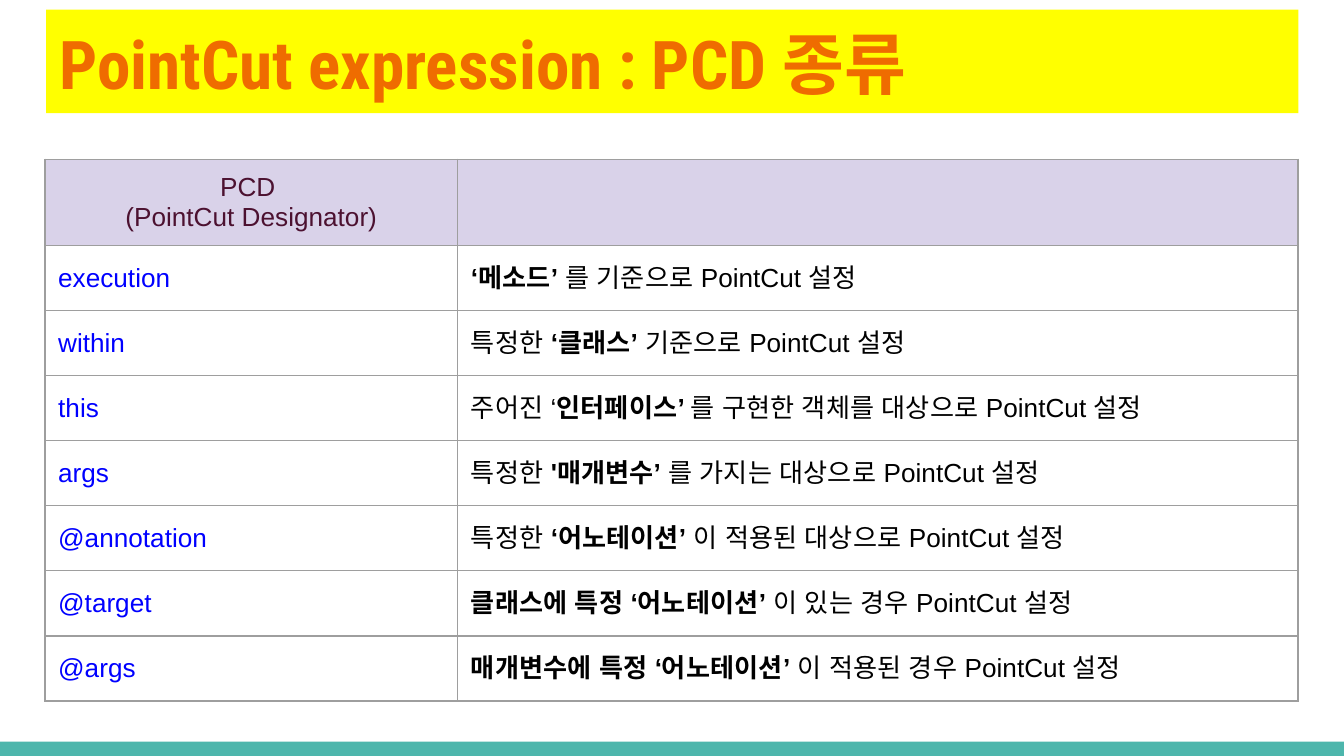
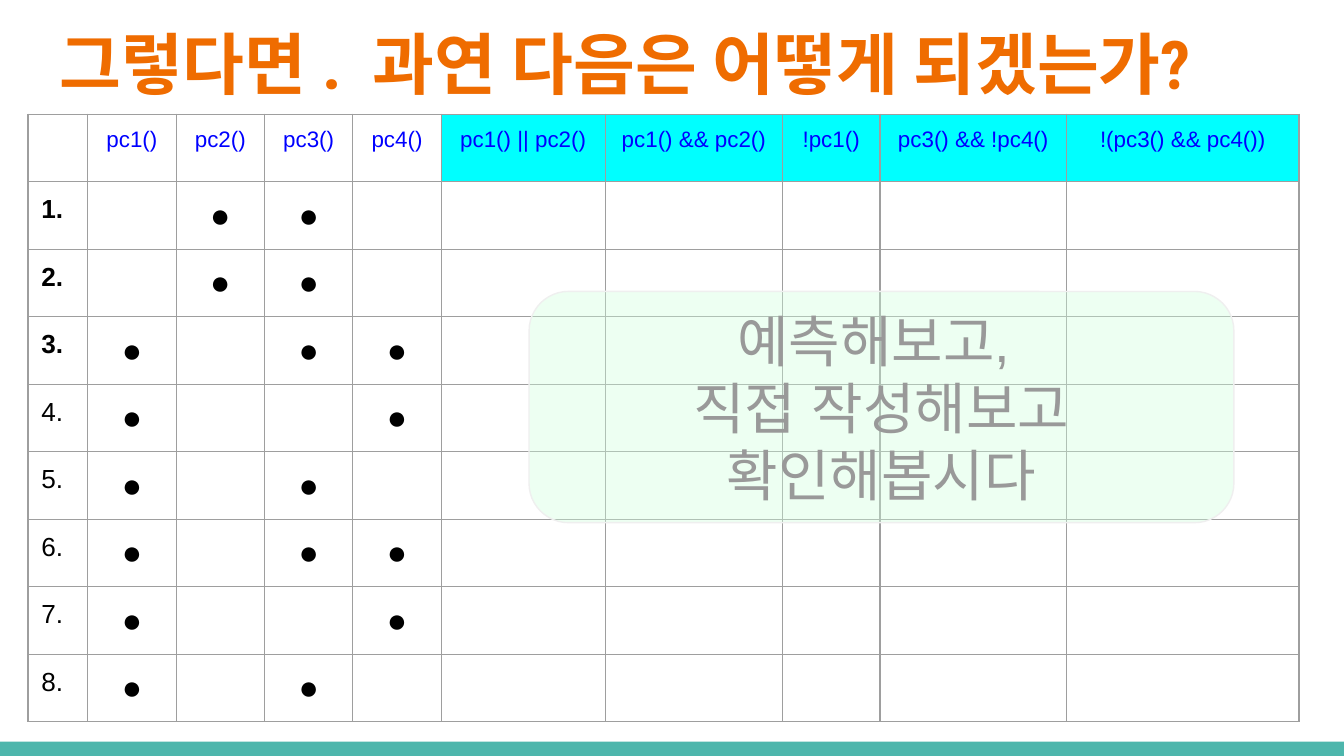
from copy import deepcopy

from lxml.etree import SubElement
from pptx import Presentation
from pptx.dml.color import RGBColor
from pptx.enum.shapes import MSO_SHAPE
from pptx.enum.text import MSO_ANCHOR, MSO_AUTO_SIZE, PP_ALIGN
from pptx.oxml.ns import qn
from pptx.util import Cm, Pt

LEFT, MID = PP_ALIGN.LEFT, PP_ALIGN.CENTER
TOP, HALF = MSO_ANCHOR.TOP, MSO_ANCHOR.MIDDLE
RECT, ROUND = MSO_SHAPE.RECTANGLE, MSO_SHAPE.ROUNDED_RECTANGLE
FIT_OFF = MSO_AUTO_SIZE.NONE

TEAL = RGBColor(0x4D, 0xB6, 0xAC)
ORANGE = RGBColor(0xEF, 0x6C, 0x00)
YELLOW = RGBColor(0xFF, 0xFF, 0x00)
LILAC = RGBColor(0xD9, 0xD2, 0xE9)
PLUM = RGBColor(0x4C, 0x11, 0x30)
BLUE = RGBColor(0x00, 0x00, 0xFF)
BLACK = RGBColor(0x00, 0x00, 0x00)
CYAN = RGBColor(0x00, 0xFF, 0xFF)
MINT = RGBColor(0xCF, 0xFF, 0xDD)
GREY = RGBColor(0x99, 0x99, 0x99)
PALE = RGBColor(0xEF, 0xEF, 0xEF)
GRID = "9E9E9E"
BODY, HEAD = "Arial", "Roboto Condensed"
PAD = Cm(0.25)

PCD_TITLE = "PointCut expression : PCD 종류"
PCD_HEAD = "PCD \v(PointCut Designator)"
PCD_ROWS = [
    ("execution", "*‘메소드’* 를 기준으로 PointCut 설정"),
    ("within", "특정한 *‘클래스’* 기준으로 PointCut 설정"),
    ("this", "주어진 ‘*인터페이스’ *를 구현한 객체를 대상으로 PointCut 설정"),
    ("args", "특정한 *'매개변수’* 를 가지는 대상으로 PointCut 설정"),
    ("@annotation", "특정한 *‘어노테이션’* 이 적용된 대상으로 PointCut 설정"),
    ("@target", "*클래스에 특정 ‘어노테이션’* 이 있는 경우 PointCut 설정"),
    ("@args", "*매개변수에 특정 ‘어노테이션’* 이 적용된 경우 PointCut 설정"),
]
PCD_COLS = [7.8, 15.88]
PCD_HIGH = [1.63] + [1.23] * len(PCD_ROWS)

QUIZ_TITLE = "그렇다면 .  과연 다음은 어떻게 되겠는가?"
CUTS = ["pc1()", "pc2()", "pc3()", "pc4()"]
TESTS = ["pc1() || pc2()", "pc1() && pc2()", "!pc1()",
         "pc3() && !pc4()", "!(pc3() && pc4())"]
DOTS = [(2, 3), (2, 3), (1, 3, 4), (1, 4), (1, 3), (1, 3, 4), (1, 4), (1, 3)]
BOLD_ROWS = 3
QUIZ_COLS = [1.13] + [1.67] * len(CUTS) + [3.1, 3.35, 1.84, 3.53, 4.39]
QUIZ_HIGH = [1.22] * (len(DOTS) + 1)
NOTE = "예측해보고, \v직접 작성해보고 확인해봅시다"


def write(frame, text, size, color, align=LEFT, face=BODY):
    para = frame.paragraphs[0]
    parts = text.split("*")
    para.text = parts[0]
    for i, part in enumerate(parts[1:], 1):
        if part:
            run = para.add_run()
            run.text = part
            run.font.bold = i % 2 == 1
    para.alignment = align
    for run in para.runs:
        run.font.name = face
        run.font.size = Pt(size)
        run.font.color.rgb = color
        props = run._r.get_or_add_rPr()
        SubElement(props, qn("a:ea"), typeface=face)
        for gap in para._p.findall(qn("a:br")):
            if gap.find(qn("a:rPr")) is None:
                gap.append(deepcopy(props))


def pad(box):
    box.margin_left = box.margin_right = PAD
    box.margin_top = box.margin_bottom = PAD


def paint(shape, color):
    shape.shadow.inherit = False
    shape.fill.solid()
    shape.fill.fore_color.rgb = color


def add_page(deck, text):
    page = deck.slides.add_slide(deck.slide_layouts[5])
    title = page.shapes.title
    title.left, title.top = Cm(0.87), Cm(0.18)
    title.width, title.height = Cm(23.67), Cm(1.96)
    frame = title.text_frame
    frame.word_wrap = True
    frame.auto_size = FIT_OFF
    frame.vertical_anchor = TOP
    pad(frame)
    write(frame, f"*{text}*", 36, ORANGE, face=HEAD)
    return page


def add_band(deck, page):
    band = page.shapes.add_shape(RECT, 0, Cm(14.02), deck.slide_width, Cm(0.27))
    paint(band, TEAL)
    band.line.fill.background()
    deck.slide_master.shapes._spTree.append(band._element)


def add_grid(page, left, top, cols, rows):
    table = page.shapes.add_table(
        len(rows), len(cols), Cm(left), Cm(top), Cm(sum(cols)), Cm(sum(rows))).table
    table.first_row = table.horz_banding = False
    for col, width in zip(table.columns, cols):
        col.width = Cm(width)
    for row, height in zip(table.rows, rows):
        row.height = Cm(height)
    for cell in table.iter_cells():
        pad(cell)
        props = cell._tc.get_or_add_tcPr()
        for side in ("lnL", "lnR", "lnT", "lnB"):
            line = SubElement(props, qn(f"a:{side}"), w=str(Pt(0.75)))
            fill = SubElement(line, qn("a:solidFill"))
            SubElement(fill, qn("a:srgbClr"), val=GRID)
        cell.fill.background()
    return table


def put(cell, text, size, color, align=LEFT, anchor=HALF):
    cell.vertical_anchor = anchor
    write(cell.text_frame, text, size, color, align)


def tint(cell, color):
    cell.fill.solid()
    cell.fill.fore_color.rgb = color


def add_pcd(deck):
    page = add_page(deck, PCD_TITLE)
    paint(page.shapes.title, YELLOW)
    add_band(deck, page)
    table = add_grid(page, 0.85, 3.01, PCD_COLS, PCD_HIGH)
    for col in range(len(PCD_COLS)):
        tint(table.cell(0, col), LILAC)
    put(table.cell(0, 0), PCD_HEAD, 14, PLUM, MID)
    for row, (name, use) in enumerate(PCD_ROWS, 1):
        put(table.cell(row, 0), name, 14, BLUE)
        put(table.cell(row, 1), use, 14, BLACK)


def add_note(page):
    note = page.shapes.add_shape(ROUND, Cm(10), Cm(5.51), Cm(13.32), Cm(4.37))
    note.adjustments[0] = 0.17
    paint(note, MINT)
    tone = note._element.spPr.find(qn("a:solidFill"))[0]
    SubElement(tone, qn("a:alpha"), val="37000")
    note.line.color.rgb = PALE
    note.line.width = Pt(0.75)
    frame = note.text_frame
    frame.word_wrap = True
    frame.vertical_anchor = HALF
    pad(frame)
    write(frame, NOTE, 30, GREY, MID)


def add_quiz(deck):
    page = add_page(deck, QUIZ_TITLE)
    table = add_grid(page, 0.53, 2.16, QUIZ_COLS, QUIZ_HIGH)
    for col, text in enumerate(CUTS + TESTS, 1):
        cell = table.cell(0, col)
        put(cell, text, 12, BLUE, MID, TOP)
        if text in TESTS and col > len(CUTS):
            tint(cell, CYAN)
    for row, marks in enumerate(DOTS, 1):
        label = f"*{row}.*" if row <= BOLD_ROWS else f"{row}."
        put(table.cell(row, 0), label, 14, BLACK, LEFT, TOP)
        for col in marks:
            put(table.cell(row, col), "*●*", 18, BLACK, MID)
    add_note(page)


def main():
    deck = Presentation()
    deck.slide_width, deck.slide_height = Cm(25.4), Cm(14.29)
    add_pcd(deck)
    add_quiz(deck)
    deck.save("out.pptx")


if __name__ == "__main__":
    main()
